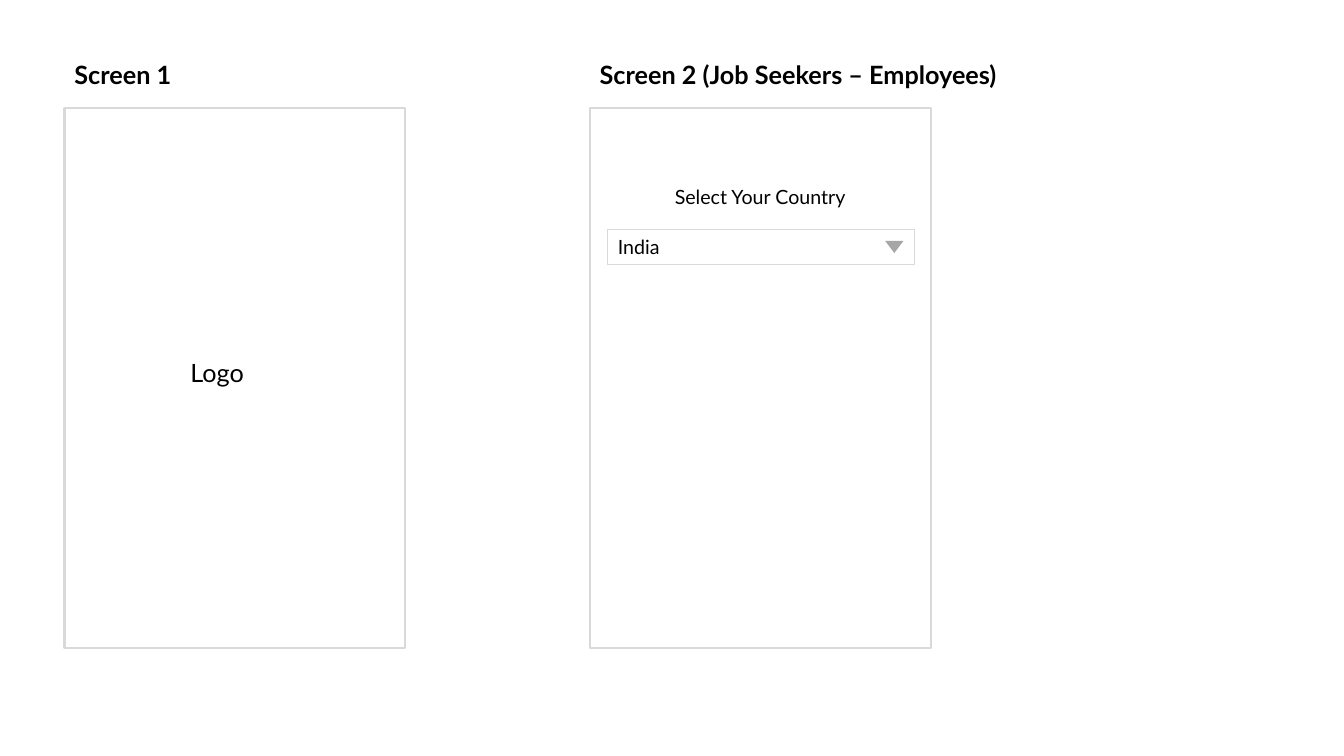
import dataclasses

import pptx
import pptx.dml.color
import pptx.enum.shapes
import pptx.enum.text
import pptx.util

Inches = pptx.util.Inches
Shapes = pptx.enum.shapes.MSO_SHAPE
Align = pptx.enum.text.PP_ALIGN


@dataclasses.dataclass(frozen=True)
class Theme:
    """Colours, font and sizes of the wireframes."""
    font: str = "Lato"
    ink: str = "000000"
    paper: str = "FFFFFF"
    border: str = "D9D9D9"
    arrow: str = "A6A6A6"
    heading: int = 18
    label: int = 14
    frame_line: float = 1.5
    field_line: float = 0.75


THEME = Theme()


def rgb(value):
    """Return the colour for a hex value."""
    return pptx.dml.color.RGBColor.from_string(value)


def write(shape, text, size, bold=False, align=Align.LEFT, wrap=False):
    """Put one styled line of text into a shape."""
    frame = shape.text_frame
    frame.text = text
    frame.word_wrap = wrap
    frame.auto_size = pptx.enum.text.MSO_AUTO_SIZE.SHAPE_TO_FIT_TEXT
    para = frame.paragraphs[0]
    para.alignment = align
    font = para.runs[0].font
    font.name = THEME.font
    font.size = pptx.util.Pt(size)
    font.bold = bold
    font.color.rgb = rgb(THEME.ink)


def add_text(page, left, top, width, height, text, size, **style):
    """Add a text box with one line of text."""
    box = page.shapes.add_textbox(Inches(left), Inches(top), Inches(width), Inches(height))
    write(box, text, size, **style)


def add_shape(page, kind, left, top, width, height, fill=None, line_width=None):
    """Add a flat shape with an optional fill and border."""
    shape = page.shapes.add_shape(kind, Inches(left), Inches(top), Inches(width), Inches(height))
    shape.shadow.inherit = False
    if fill:
        shape.fill.solid()
        shape.fill.fore_color.rgb = rgb(fill)
    else:
        shape.fill.background()
    if line_width:
        shape.line.color.rgb = rgb(THEME.border)
        shape.line.width = pptx.util.Pt(line_width)
    else:
        shape.line.fill.background()
    return shape


def add_screen(page, left, top, title, title_width):
    """Draw a titled, empty phone screen."""
    add_shape(page, Shapes.RECTANGLE, left, top, 3.38, 5.36, THEME.paper, THEME.frame_line)
    add_text(page, left, top - 0.53, title_width, 0.4, title, THEME.heading, bold=True)


def add_dropdown(page, left, top, width, height, choice):
    """Draw a dropdown field showing its current choice."""
    field = add_shape(page, Shapes.RECTANGLE, left, top, width, height,
                      line_width=THEME.field_line)
    write(field, choice, THEME.label, wrap=True)
    arrow_width, arrow_height = 0.18, 0.12
    add_shape(page, Shapes.FLOWCHART_MERGE, left + width - 0.11 - arrow_width,
              top + (height - arrow_height) / 2, arrow_width, arrow_height, THEME.arrow)


def add_logo_screen(page, left, top):
    """Draw the opening screen with its logo label."""
    add_screen(page, left, top, "Screen 1", 1.41)
    add_text(page, left + 1.15, top + 2.43, 0.73, 0.4, "Logo", THEME.heading)


def add_country_screen(page, left, top):
    """Draw the screen where job seekers choose a country."""
    add_screen(page, left, top, "Screen 2 (Job Seekers – Employees)", 5.33)
    add_text(page, left + 0.73, top + 0.72, 1.92, 0.34, "Select Your Country",
             THEME.label, align=Align.CENTER)
    add_dropdown(page, left + 0.18, top + 1.21, 3.04, 0.34, "India")


def main():
    """Build and save the wireframe slide."""
    deck = pptx.Presentation()
    deck.slide_width, deck.slide_height = Inches(13.33), Inches(7.5)
    page = deck.slides.add_slide(deck.slide_layouts[6])
    add_logo_screen(page, 0.64, 1.07)
    add_country_screen(page, 5.85, 1.07)
    deck.save("out.pptx")


if __name__ == "__main__":
    main()
